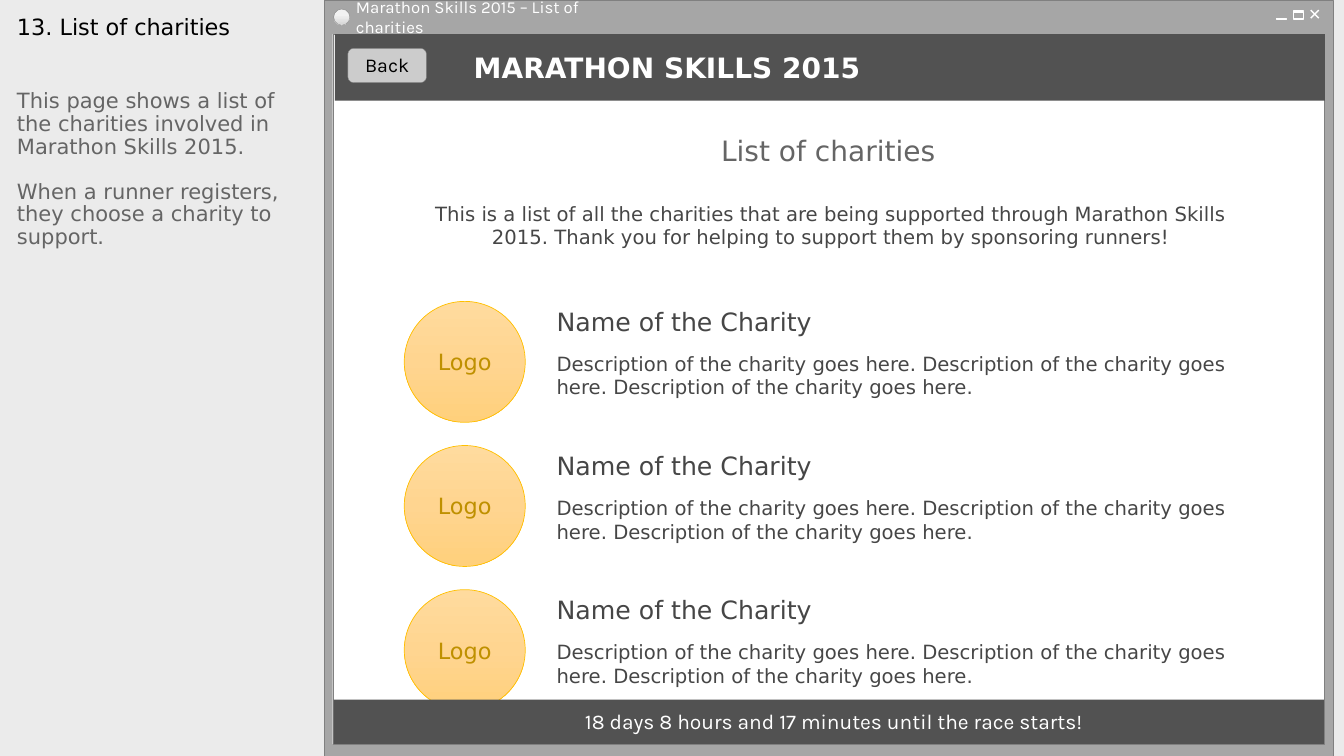
from lxml.etree import SubElement
from pptx import Presentation
from pptx.dml.color import RGBColor
from pptx.enum.shapes import MSO_CONNECTOR as Connector, MSO_SHAPE as Shape
from pptx.enum.text import MSO_ANCHOR as Anchor, PP_ALIGN as Align
from pptx.oxml.ns import qn
from pptx.util import Inches, Pt


def color(value):
    return RGBColor.from_string(value)


class Wireframe:
    """Draws the elements of a wireframe page in one shared style."""

    font = "DejaVu Sans"
    accent_font = "Karla"
    white, border, bar, body, muted = "FFFFFF", "808080", "525252", "464646", "656565"
    padding = (0.1, 0.02, 0.1, 0.03)

    def __init__(self, page):
        self.page = page
        page.background.fill.solid()
        page.background.fill.fore_color.rgb = color("EBEBEB")

    def shape(self, kind, area, fill=None, line=None, width=0.25):
        item = self.page.shapes.add_shape(kind, *map(Inches, area))
        item.shadow.inherit = False
        if isinstance(fill, list):
            self.gradient(item, fill)
        elif fill:
            item.fill.solid()
            item.fill.fore_color.rgb = color(fill)
        else:
            item.fill.background()
        if line:
            item.line.color.rgb = color(line)
            item.line.width = Pt(width)
        else:
            item.line.fill.background()
        return item

    def gradient(self, item, stops):
        item.fill.gradient()
        item.fill.gradient_angle = 270
        stop_list = next(item._element.iter(qn("a:gsLst")))
        for stop in list(stop_list):
            stop_list.remove(stop)
        for percent, value in stops:
            stop = SubElement(stop_list, qn("a:gs"), pos=str(percent * 1000))
            SubElement(stop, qn("a:srgbClr"), val=value)

    def line(self, start, end):
        points = map(Inches, (*start, *end))
        item = self.page.shapes.add_connector(Connector.STRAIGHT, *points)
        item.line.color.rgb = color(self.white)
        item.line.width = Pt(1)
        SubElement(item._element.spPr, qn("a:effectLst"))

    def label(self, item, paragraphs, size, ink, font=None, bold=False, align=Align.LEFT,
              anchor=Anchor.MIDDLE, insets=padding, spacing=1.0, gap=0):
        frame = item.text_frame
        frame.word_wrap = True
        frame.vertical_anchor = anchor
        (frame.margin_left, frame.margin_top,
         frame.margin_right, frame.margin_bottom) = map(Inches, insets)
        for index, words in enumerate(paragraphs):
            para = frame.add_paragraph() if index else frame.paragraphs[0]
            para.text = words
            para.alignment = align
            para.line_spacing = spacing
            para.space_before = Pt(gap if index else 0)
            para.font.name = font or self.font
            para.font.size = Pt(size)
            para.font.bold = bold
            para.font.color.rgb = color(ink)

    def text(self, area, paragraphs, size, ink, **style):
        box = self.page.shapes.add_textbox(*map(Inches, area))
        self.label(box, paragraphs, size, ink, **style)

    def window(self, title):
        self.shape(Shape.RECTANGLE, (3.22, 0, 10, 7.5), "A6A6A6", self.border)
        self.shape(Shape.RECTANGLE, (3.3, 0.34, 9.83, 7.04), self.white, self.border)
        self.text((3.48, 0.05, 2.98, 0.25), [title], 12, self.white,
                  font=self.accent_font, insets=(0.05, 0.02, 0.1, 0.03))
        self.line((13, 0.1), (13.08, 0.18))
        self.line((13.08, 0.1), (13, 0.18))
        self.shape(Shape.RECTANGLE, (12.83, 0.11, 0.1, 0.08), None, self.white, 1)
        for left, top in ((12.83, 0.11), (12.66, 0.18)):
            self.shape(Shape.RECTANGLE, (left, top, 0.1, 0.01), "919191", self.white)
        self.shape(Shape.OVAL, (3.31, 0.09, 0.16, 0.16),
                   [(36, "F2F2F2"), (91, "D9D9D9"), (100, "F2F2F2")], self.border)

    def charity(self, top):
        flush = (0, 0, 0, 0)
        self.text((5.52, top + 0.05, 4.78, 0.3), ["Name of the Charity"], 18, self.body,
                  insets=flush)
        logo = self.shape(Shape.OVAL, (4.01, top, 1.2, 1.2),
                          [(0, "FFDB9E"), (50, "FFD590"), (100, "FFD07C")], "FFC000", 0.5)
        self.label(logo, ["Logo"], 16, "BF9000", align=Align.CENTER,
                   insets=(0.04, 0.05, 0.04, 0.05))
        description = " ".join(["Description of the charity goes here."] * 3)
        self.text((5.52, top + 0.5, 6.94, 0.47), [description], 14, self.body,
                  anchor=Anchor.TOP, insets=flush)


def main():
    deck = Presentation()
    deck.slide_width, deck.slide_height = Inches(13.33), Inches(7.5)
    frame = Wireframe(deck.slides.add_slide(deck.slide_layouts[6]))

    frame.window("Marathon Skills 2015 – List of charities")
    frame.shape(Shape.RECTANGLE, (3.32, 0.34, 9.82, 0.66), frame.bar)

    notes = {"anchor": Anchor.TOP, "insets": (0.1, 0.05, 0.1, 0.05), "spacing": 0.9}
    frame.text((0.07, 0.11, 3.01, 0.73), ["13. List of charities"], 16, "000000", **notes)
    frame.text((0.07, 0.85, 3.01, 6.47),
               ["This page shows a list of the charities involved in Marathon Skills 2015.",
                "When a runner registers, they choose a charity to support."],
               15, frame.muted, gap=16, **notes)

    back = frame.shape(Shape.ROUNDED_RECTANGLE, (3.45, 0.48, 0.78, 0.34), "CCCCCC", frame.border)
    frame.label(back, ["Back"], 14, "000000", font=frame.accent_font, align=Align.CENTER,
                insets=(0.1, 0, 0.1, 0.01))
    frame.text((4.55, 1.3, 7.33, 0.39), ["List of charities"], 20, frame.muted,
               align=Align.CENTER)
    frame.text((4.6, 0.48, 4.26, 0.39), ["MARATHON SKILLS 2015"], 20, frame.white, bold=True)
    frame.text((3.98, 1.98, 8.52, 0.52),
               ["This is a list of all the charities that are being supported through Marathon "
                "Skills 2015. Thank you for helping to support them by sponsoring runners!"],
               14, frame.body, align=Align.CENTER)

    for row in range(3):
        frame.charity(2.99 + 1.43 * row)

    frame.shape(Shape.RECTANGLE, (3.31, 6.94, 9.82, 0.44), frame.bar)
    frame.text((4.33, 7.01, 7.88, 0.3),
               ["18 days 8 hours and 17 minutes until the race starts!"], 15, frame.white,
               font=frame.accent_font, align=Align.CENTER)
    deck.save("out.pptx")


if __name__ == "__main__":
    main()
